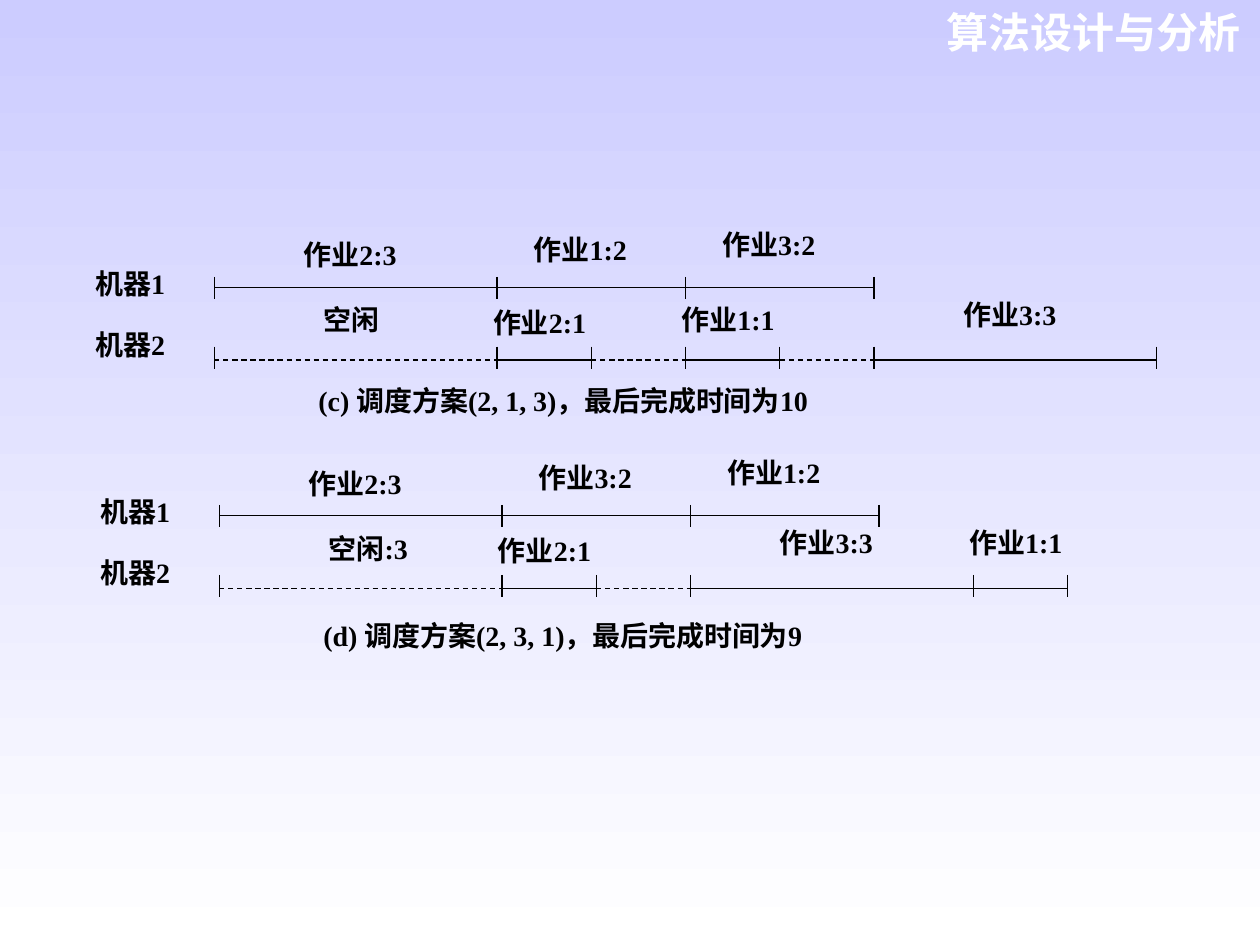
import pptx
import pptx.dml.color
import pptx.enum.dml
import pptx.enum.shapes
import pptx.enum.text
import pptx.oxml.ns
import pptx.util
from lxml import etree

Cm, Pt = pptx.util.Cm, pptx.util.Pt
RGB = pptx.dml.color.RGBColor
ALIGN = pptx.enum.text.PP_ALIGN

# Content: bars are (start time, duration, label, label rise above the line in cm);
# a bar in IDLE style is dashed
COURSE = "算法设计与分析"
WORK, IDLE = "work", "idle"
SCHEDULES = [
    {
        "caption": "(c) 调度方案(2, 1, 3)，最后完成时间为10",
        "origin": (4.32, 5.79),
        "caption_drop": 2.08,
        "机器1": [(0, 3, "作业2:3", 0.86, WORK), (3, 2, "作业1:2", 0.97, WORK),
                (5, 2, "作业3:2", 1.07, WORK)],
        "机器2": [(0, 3, "空闲", 1.02, IDLE), (3, 1, "作业2:1", 0.97, WORK),
                (4, 1, "", 0, IDLE), (5, 1, "作业1:1", 1.02, WORK),
                (6, 1, "", 0, IDLE), (7, 3, "作业3:3", 1.14, WORK)],
    },
    {
        "caption": "(d) 调度方案(2, 3, 1)，最后完成时间为9",
        "origin": (4.42, 10.39),
        "caption_drop": 2.21,
        "机器1": [(0, 3, "作业2:3", 0.86, WORK), (3, 2, "作业3:2", 0.97, WORK),
                (5, 2, "作业1:2", 1.07, WORK)],
        "机器2": [(0, 3, "空闲:3", 1.02, IDLE), (3, 1, "作业2:1", 0.97, WORK),
                (4, 1, "", 0, IDLE), (5, 3, "作业3:3", 1.14, WORK),
                (8, 1, "作业1:1", 1.14, WORK)],
    },
]

THEME = {
    "top": RGB(0xCC, 0xCC, 0xFF), "bottom": RGB(0xFF, 0xFF, 0xFF),
    "heading": RGB(0xFF, 0xFF, 0xFF), "ink": RGB(0, 0, 0),
    "heading_font": "Arial", "body_font": "Times New Roman",
    "heading_size": Pt(24), "body_size": Pt(16), "line": Pt(0.75),
}

# Geometry in cm
UNIT = 1.9
TICK = 0.45
# Per machine: line drop, tick rise, name rise
MACHINES = {"机器1": (0, 0.21, 0.28), "机器2": (1.47, 0.27, 0.53)}
LABEL_INSET = {1: -0.08, 2: 0.74, 3: 1.8}
IDLE_INSET = 2.21
LABEL_WIDTH, LABEL_HEIGHT = 2.2, 0.68
NAME_OFFSET, CAPTION_OFFSET, CAPTION_WIDTH = 2.4, 2.1, 11.05


def set_font(paragraph, name, size, color):
    paragraph.font.name = name
    paragraph.font.size = size
    paragraph.font.bold = True
    paragraph.font.color.rgb = color


def add_label(slide, text, left, top, width=LABEL_WIDTH):
    label = slide.shapes.add_textbox(Cm(left), Cm(top), Cm(width), Cm(LABEL_HEIGHT))
    frame = label.text_frame
    frame.word_wrap = True
    frame.margin_left = frame.margin_right = frame.margin_top = frame.margin_bottom = 0
    paragraph = frame.paragraphs[0]
    paragraph.text = text
    paragraph.alignment = ALIGN.JUSTIFY
    paragraph.line_spacing = 0.8
    set_font(paragraph, THEME["body_font"], THEME["body_size"], THEME["ink"])


def add_line(slide, x1, y1, x2, y2, dashed=False):
    line = slide.shapes.add_connector(
        pptx.enum.shapes.MSO_CONNECTOR.STRAIGHT, Cm(x1), Cm(y1), Cm(x2), Cm(y2))
    line.line.color.rgb = THEME["ink"]
    line.line.width = THEME["line"]
    if dashed:
        line.line.dash_style = pptx.enum.dml.MSO_LINE.DASH
    etree.SubElement(line._element.spPr, pptx.oxml.ns.qn("a:effectLst"))


def add_machine(slide, name, bars, left, top):
    drop, tick_rise, name_rise = MACHINES[name]
    y = top + drop
    add_label(slide, name, left - NAME_OFFSET, y - name_rise)
    for start, duration, text, rise, kind in bars:
        x = left + start * UNIT
        add_line(slide, x, y, x + duration * UNIT, y, kind == IDLE)
        if text:
            inset = IDLE_INSET if kind == IDLE else LABEL_INSET[duration]
            add_label(slide, text, x + inset, y - rise)
    # Ticks at the start and after every bar
    for time in [0] + [bar[0] + bar[1] for bar in bars]:
        x = left + time * UNIT
        add_line(slide, x, y - tick_rise, x, y - tick_rise + TICK)


def main():
    deck = pptx.Presentation()
    deck.slide_width, deck.slide_height = Cm(25.4), Cm(19.05)
    slide = deck.slides.add_slide(deck.slide_layouts[5])

    # Background
    fill = slide.background.fill
    fill.gradient()
    fill.gradient_angle = 270
    for stop, color in zip(fill.gradient_stops, ("top", "bottom")):
        stop.color.rgb = THEME[color]

    # Course heading
    heading = slide.shapes.title
    heading.left, heading.top, heading.width, heading.height = Cm(18.39), Cm(0), Cm(6.88), Cm(1.27)
    frame = heading.text_frame
    frame.text = COURSE
    frame.word_wrap = True
    frame.auto_size = pptx.enum.text.MSO_AUTO_SIZE.NONE
    frame.vertical_anchor = pptx.enum.text.MSO_ANCHOR.TOP
    paragraph = frame.paragraphs[0]
    paragraph.alignment = ALIGN.RIGHT
    set_font(paragraph, THEME["heading_font"], THEME["heading_size"], THEME["heading"])

    # Schedules
    for schedule in SCHEDULES:
        left, top = schedule["origin"]
        for name in MACHINES:
            add_machine(slide, name, schedule[name], left, top)
        add_label(slide, schedule["caption"], left + CAPTION_OFFSET,
                  top + schedule["caption_drop"], CAPTION_WIDTH)

    deck.save("out.pptx")


if __name__ == "__main__":
    main()
